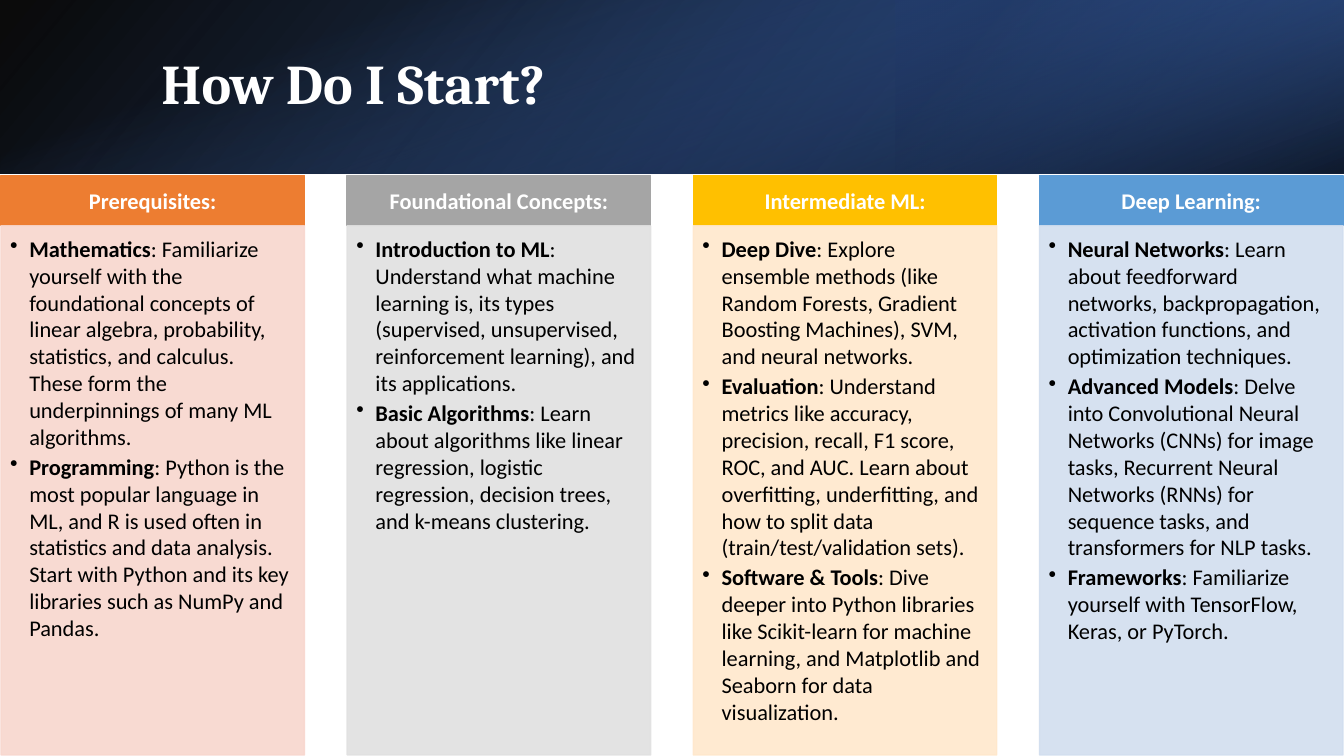
from dataclasses import dataclass

from lxml.etree import SubElement
from pptx import Presentation
from pptx.dml.color import RGBColor
from pptx.enum.shapes import MSO_SHAPE
from pptx.enum.text import MSO_ANCHOR, MSO_AUTO_SIZE, PP_ALIGN
from pptx.oxml import parse_xml
from pptx.oxml.ns import nsdecls, qn
from pptx.util import Inches, Pt


@dataclass(frozen=True)
class Theme:
    """Colours, fonts and type sizes of the slide."""
    white: str = "FFFFFF"
    black: str = "000000"
    navy: str = "203864"
    blue: str = "2F5597"
    sky: str = "4472C4"
    serif: str = "Cambria"
    sans: str = "Calibri"
    big: int = 40
    small: int = 16


THEME = Theme()
WIDE, HIGH = 13.33, 7.5
BAND = 1.72
TOP, HEAD, BODY = 1.74, 0.5, 5.25
EDGE, COL = 0.01, 3.01
COLUMNS = [
    ("Prerequisites:", "ED7D31", "F8D7CE", [
        ("Mathematics", ": Familiarize yourself with the foundational concepts of linear algebra, "
         "probability, statistics, and calculus. These form the underpinnings of many ML algorithms."),
        ("Programming", ": Python is the most popular language in ML, and R is used often in statistics "
         "and data analysis. Start with Python and its key libraries such as NumPy and Pandas."),
    ]),
    ("Foundational Concepts:", "A5A5A5", "E1E1E1", [
        ("Introduction to ML", ": Understand what machine learning is, its types (supervised, "
         "unsupervised, reinforcement learning), and its applications."),
        ("Basic Algorithms", ": Learn about algorithms like linear regression, logistic regression, "
         "decision trees, and k-means clustering."),
    ]),
    ("Intermediate ML:", "FFC000", "FFE8CC", [
        ("Deep Dive", ": Explore ensemble methods (like Random Forests, Gradient Boosting Machines), "
         "SVM, and neural networks."),
        ("Evaluation", ": Understand metrics like accuracy, precision, recall, F1 score, ROC, and AUC. "
         "Learn about overfitting, underfitting, and how to split data (train/test/validation sets)."),
        ("Software & Tools", ": Dive deeper into Python libraries like Scikit-learn for machine "
         "learning, and Matplotlib and Seaborn for data visualization."),
    ]),
    ("Deep Learning:", "5B9BD5", "D2DEEF", [
        ("Neural Networks", ": Learn about feedforward networks, backpropagation, activation "
         "functions, and optimization techniques."),
        ("Advanced Models", ": Delve into Convolutional Neural Networks (CNNs) for image tasks, "
         "Recurrent Neural Networks (RNNs) for sequence tasks, and transformers for NLP tasks."),
        ("Frameworks", ": Familiarize yourself with TensorFlow, Keras, or PyTorch."),
    ]),
]


def write(shape, paras, font=THEME.sans, size=THEME.small, color=THEME.black, align=PP_ALIGN.LEFT,
          anchor=MSO_ANCHOR.TOP, pad=(0.1, 0.05, 0.1, 0.05), after=0, lines=None, bullet=False):
    """Fill a shape with paragraphs, each a bold lead and plain rest."""
    frame = shape.text_frame
    frame.word_wrap = True
    frame.auto_size = MSO_AUTO_SIZE.NONE
    frame.vertical_anchor = anchor
    frame.margin_left, frame.margin_top, frame.margin_right, frame.margin_bottom = map(Inches, pad)
    for i, parts in enumerate(paras):
        para = frame.add_paragraph() if i else frame.paragraphs[0]
        if bullet:
            props = para._p.get_or_add_pPr()
            props.set("marL", str(Inches(0.19)))
            props.set("indent", str(Inches(-0.19)))
            SubElement(props, qn("a:buChar")).set("char", "•")
        para.alignment = align
        para.space_after = Pt(after)
        para.line_spacing = lines
        for j, text in enumerate(parts):
            run = para.add_run()
            run.text = text
            run.font.name = font
            run.font.size = Pt(size)
            run.font.bold = j == 0
            run.font.color.rgb = RGBColor.from_string(color)


def block(slide, left, top, width, height):
    """Add a plain rectangle without shadow or line."""
    shape = slide.shapes.add_shape(MSO_SHAPE.RECTANGLE, *map(Inches, (left, top, width, height)))
    shape.shadow.inherit = False
    shape.line.fill.background()
    return shape


def panel(slide, box, color, alpha=100):
    """Add a rectangle whose fill and line share one colour."""
    shape = block(slide, *box)
    shape.line.width = Pt(1)
    for fill in (shape.fill, shape.line.fill):
        fill.solid()
        fill.fore_color.rgb = RGBColor.from_string(color)
    if alpha < 100:
        for tone in shape.element.spPr.iter(qn("a:srgbClr")):
            SubElement(tone, qn("a:alpha")).set("val", str(alpha * 1000))
    return shape


def shade(slide, box, stops, angle, turn=0, flip=False):
    """Add a rectangle with a linear gradient of place, colour and alpha."""
    shape = block(slide, *box)
    shape.rotation = turn
    props = shape.element.spPr
    if flip:
        props.find(qn("a:xfrm")).set("flipH", "1")
    marks = "".join(
        f'<a:gs pos="{place * 1000}"><a:srgbClr val="{color}"><a:alpha val="{alpha * 1000}"/>'
        f'</a:srgbClr></a:gs>' for place, color, alpha in stops)
    props.find(qn("a:prstGeom")).addnext(parse_xml(
        f'<a:gradFill {nsdecls("a")} rotWithShape="1"><a:gsLst>{marks}</a:gsLst>'
        f'<a:lin ang="{angle * 60000}" scaled="0"/></a:gradFill>'))


def banner(slide):
    """Layer the three gradients behind the title."""
    shade(slide, (0, 0, WIDE, BAND), [(0, THEME.black, 96), (100, THEME.blue, 100)], 140, flip=True)
    shade(slide, (WIDE * 2 / 3, 0, WIDE / 3, BAND),
          [(19, THEME.navy, 68), (100, THEME.sky, 79)], 320, turn=180, flip=True)
    mid = (WIDE - BAND) / 2
    shade(slide, (mid, -mid, BAND, WIDE), [(23, THEME.sky, 0), (99, THEME.black, 74)], 340, turn=90)


def title(slide, text):
    """Place the title over the banner."""
    shape = slide.shapes.title
    shape.left, shape.top, shape.width, shape.height = map(Inches, (1.5, 0.38, 10.98, 0.96))
    write(shape, [[text]], font=THEME.serif, size=THEME.big, color=THEME.white,
          anchor=MSO_ANCHOR.MIDDLE, after=6, lines=0.9)
    slide.shapes.element.append(shape.element)


def column(slide, left, name, dark, pale, items):
    """Add one heading with its bulleted panel."""
    head = panel(slide, (left, TOP, COL, HEAD), dark)
    write(head, [[name]], color=THEME.white, align=PP_ALIGN.CENTER,
          anchor=MSO_ANCHOR.MIDDLE, pad=(0.12, 0.07, 0.12, 0.07))
    body = panel(slide, (left, TOP + HEAD, COL, BODY), pale, alpha=90)
    write(body, items, pad=(0.09, 0.09, 0.12, 0.14), after=2.2, bullet=True)


def main():
    """Build and save the slide."""
    deck = Presentation()
    deck.slide_width, deck.slide_height = Inches(WIDE), Inches(HIGH)
    slide = deck.slides.add_slide(deck.slide_layouts[5])
    banner(slide)
    title(slide, "How Do I Start?")
    step = (WIDE - 2 * EDGE - COL) / (len(COLUMNS) - 1)
    for i, parts in enumerate(COLUMNS):
        column(slide, EDGE + i * step, *parts)
    deck.save("out.pptx")


if __name__ == "__main__":
    main()
